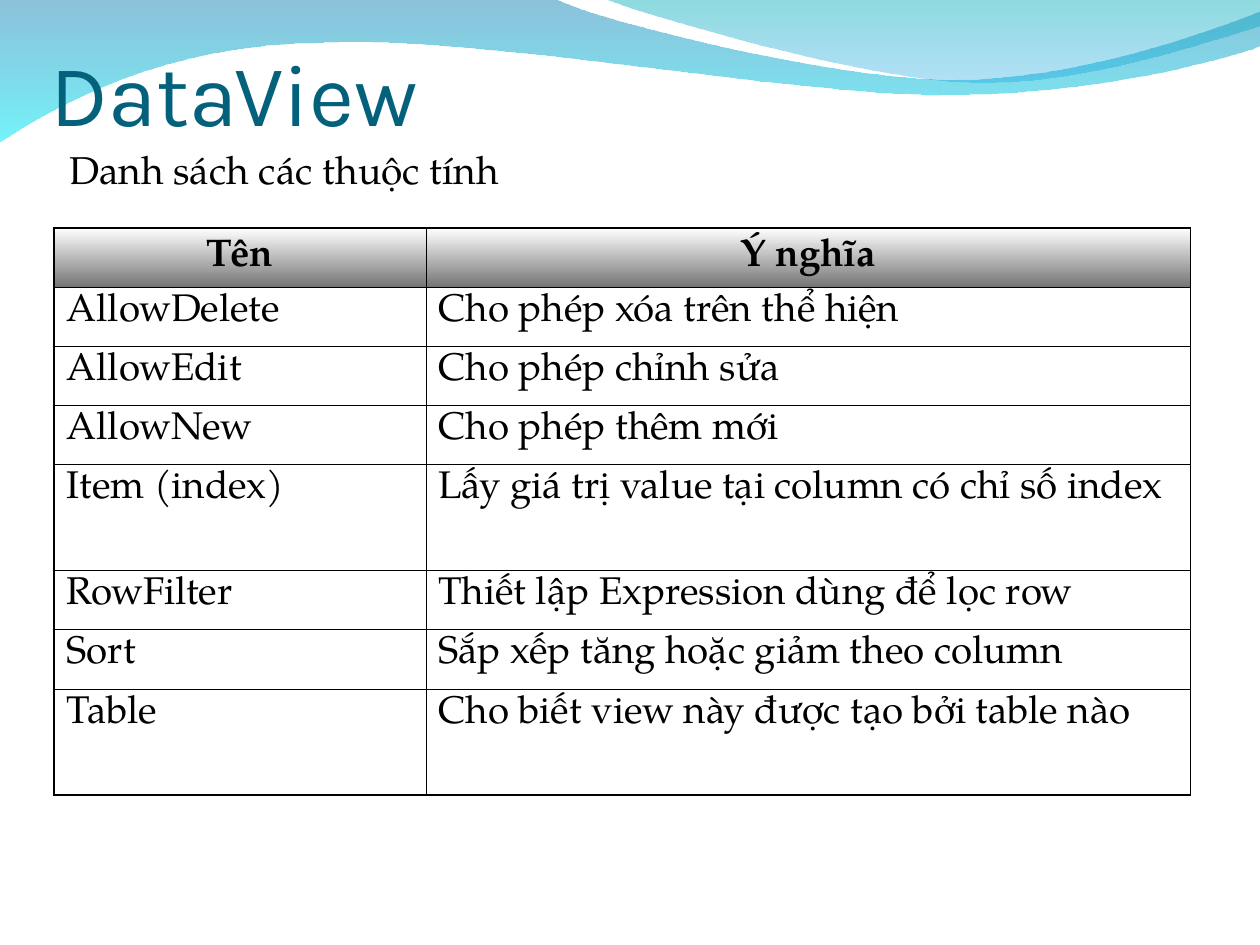
from dataclasses import dataclass
from lxml import etree
from pptx import Presentation
from pptx import util as u
from pptx.dml.color import RGBColor
from pptx.enum import text as t
from pptx.oxml.ns import qn


@dataclass(frozen=True)
class Theme:
    """Hold the colours, fonts and type sizes."""
    head: str = "Karla"
    body: str = "TeX Gyre Pagella"
    title: str = "04617B"
    ink: str = "000000"
    big: float = 50
    lead: float = 22.2
    cell: float = 22
    thin: float = 0.45
    thick: float = 1.08
    bar: tuple = (("FFFFFF", 100), ("757575", 100))
    back: tuple = (("0079AF", 45), ("00EBF8", 55))
    front: tuple = (("00ADB6", 45), ("009BE5", 30))


LOOK = Theme()
BACK = [
    [(0, -0.01)],
    [(4.4, -0.01)],
    [(4.76, 0.17), (6.64, 0.63), (7.58, 0.63)],
    [(8.53, 0.63), (9.58, 0.26), (10, 0.09)],
    [(10.01, 0.36)],
    [(9.83, 0.44), (8.7, 0.76), (7.46, 0.75)],
    [(6.22, 0.75), (3.82, 0.28), (2.57, 0.34)],
    [(1.29, 0.35), (0.46, 0.83), (-0.01, 1.13)],
    [(0, -0.01)],
]
FRONT = [
    [(4.79, -0.01)],
    [(5.09, 0.11), (6.82, 0.62), (7.69, 0.65)],
    [(8.56, 0.69), (9.61, 0.32), (10, 0.21)],
    [(10, 0)],
    [(4.79, -0.01)],
]
ROWS = [
    ("Tên", "Ý nghĩa", 0.47),
    ("AllowDelete", "Cho phép xóa trên thể hiện", 0.47),
    ("AllowEdit", "Cho phép chỉnh sửa", 0.47),
    ("AllowNew", "Cho phép thêm mới", 0.47),
    ("Item (index)", "Lấy giá trị value tại column có chỉ số index", 0.84),
    ("RowFilter", "Thiết lập Expression dùng để lọc row", 0.47),
    ("Sort", "Sắp xếp tăng hoặc giảm theo column", 0.47),
    ("Table", "Cho biết view này được tạo bởi table nào", 0.84),
]


def write(frame, words, font=LOOK.body, size=LOOK.cell, color=LOOK.ink, bold=False,
          align=t.PP_ALIGN.LEFT, before=0, line=1.0, hang=0):
    """Put one formatted paragraph in a text frame."""
    para = frame.paragraphs[0]
    para.alignment, para.line_spacing = align, line
    para.space_before = u.Pt(before)
    if hang:
        props = para._p.get_or_add_pPr()
        props.set("marL", str(u.Inches(hang)))
        props.set("indent", str(-u.Inches(hang)))
    run = para.add_run()
    run.text = words
    run.font.name, run.font.size, run.font.bold = font, u.Pt(size), bold
    run.font.color.rgb = RGBColor.from_string(color)


def shade(fill, stops):
    """Fill from top to bottom with colours of given opacity."""
    fill.gradient()
    fill.gradient_angle = 270
    for stop, (color, alpha) in zip(fill.gradient_stops, stops):
        stop.color.rgb = RGBColor.from_string(color)
        if alpha < 100:
            node = stop._gs.find(qn("a:srgbClr"))
            etree.SubElement(node, qn("a:alpha"), val=str(alpha * 1000))


def bend(shape, parts):
    """Join each run of three line points into one cubic curve."""
    lines = iter(list(shape._element.iter(qn("a:lnTo"))))
    for part in parts[1:]:
        first, *rest = [next(lines) for _ in part]
        if rest:
            first.tag = qn("a:cubicBezTo")
            for line in rest:
                first.append(line[0])
                line.getparent().remove(line)


def wave(slide, box, parts, stops):
    """Draw a shaded wave from the top left of the box."""
    left, top = box[:2]
    pts = [(u.Inches(left + x), u.Inches(top + y)) for part in parts for x, y in part]
    pen = slide.shapes.build_freeform(*pts[0])
    pen.add_line_segments(pts[1:], close=True)
    shape = pen.convert_to_shape()
    bend(shape, parts)
    shape.shadow.inherit = False
    shape.line.fill.background()
    shade(shape.fill, stops)


def header(slide, box):
    """Place the slide title above the waves."""
    title = slide.shapes.title
    slide.shapes._spTree.append(title._element)
    title.left, title.top, title.width, title.height = map(u.Inches, box)
    frame = title.text_frame
    frame.auto_size = t.MSO_AUTO_SIZE.NONE
    frame.vertical_anchor = t.MSO_ANCHOR.BOTTOM
    frame.margin_left = frame.margin_right = frame.margin_bottom = 0
    frame.margin_top = u.Inches(0.05)
    write(frame, "DataView", font=LOOK.head, size=LOOK.big, color=LOOK.title)


def lead(slide, box):
    """Place the line above the table."""
    frame = slide.shapes.add_textbox(*map(u.Inches, box)).text_frame
    frame.word_wrap = True
    write(frame, "Danh sách các thuộc tính", size=LOOK.lead, before=6, line=0.8, hang=0.3)


def edge(cell, sides):
    """Draw the cell borders, thick on the given sides."""
    props = cell._tc.get_or_add_tcPr()
    for side in "LRTB":
        width = LOOK.thick if side in sides else LOOK.thin
        line = etree.SubElement(props, qn("a:ln" + side), w=str(u.Pt(width)))
        fill = etree.SubElement(line, qn("a:solidFill"))
        etree.SubElement(fill, qn("a:srgbClr"), val=LOOK.ink)


def grid(slide, box, split=2.95):
    """Place the table of properties."""
    table = slide.shapes.add_table(len(ROWS), 2, *map(u.Inches, box)).table
    table.first_row = table.horz_banding = False
    for col, width in zip(table.columns, (split, box[2] - split)):
        col.width = u.Inches(width)
    for r, (*words, height) in enumerate(ROWS):
        table.rows[r].height = u.Inches(height)
        top = r == 0
        ends = "T" if top else "B" if r == len(ROWS) - 1 else ""
        for c, word in enumerate(words):
            cell = table.cell(r, c)
            edge(cell, "LR"[c] + ends)
            if top:
                shade(cell.fill, LOOK.bar)
                cell.vertical_anchor = t.MSO_ANCHOR.MIDDLE
            else:
                cell.fill.background()
            write(cell.text_frame, word, bold=top, before=5.5,
                  align=t.PP_ALIGN.CENTER if top else t.PP_ALIGN.LEFT)


def main():
    """Build and save the slide."""
    deck = Presentation()
    deck.slide_width, deck.slide_height = u.Inches(10), u.Inches(7.5)
    slide = deck.slides.add_slide(deck.slide_layouts[5])
    page = (0, 0, 10, 7.5)
    wave(slide, page, BACK, LOOK.back)
    wave(slide, page, FRONT, LOOK.front)
    header(slide, (0.4, -0.11, 9, 1.25))
    lead(slide, (0.45, 1.18, 4.42, 0.42))
    grid(slide, (0.43, 1.81, 9.02, 4.5))
    deck.save("out.pptx")


if __name__ == "__main__":
    main()
